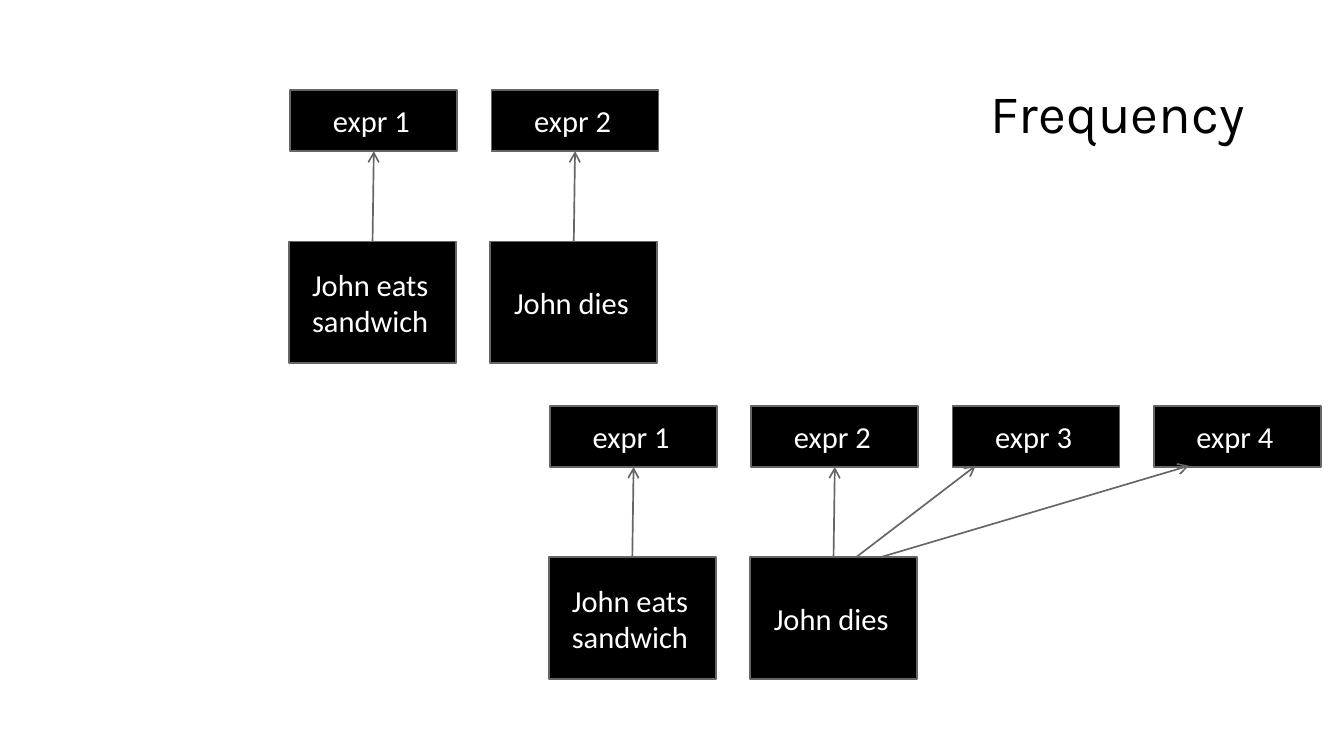
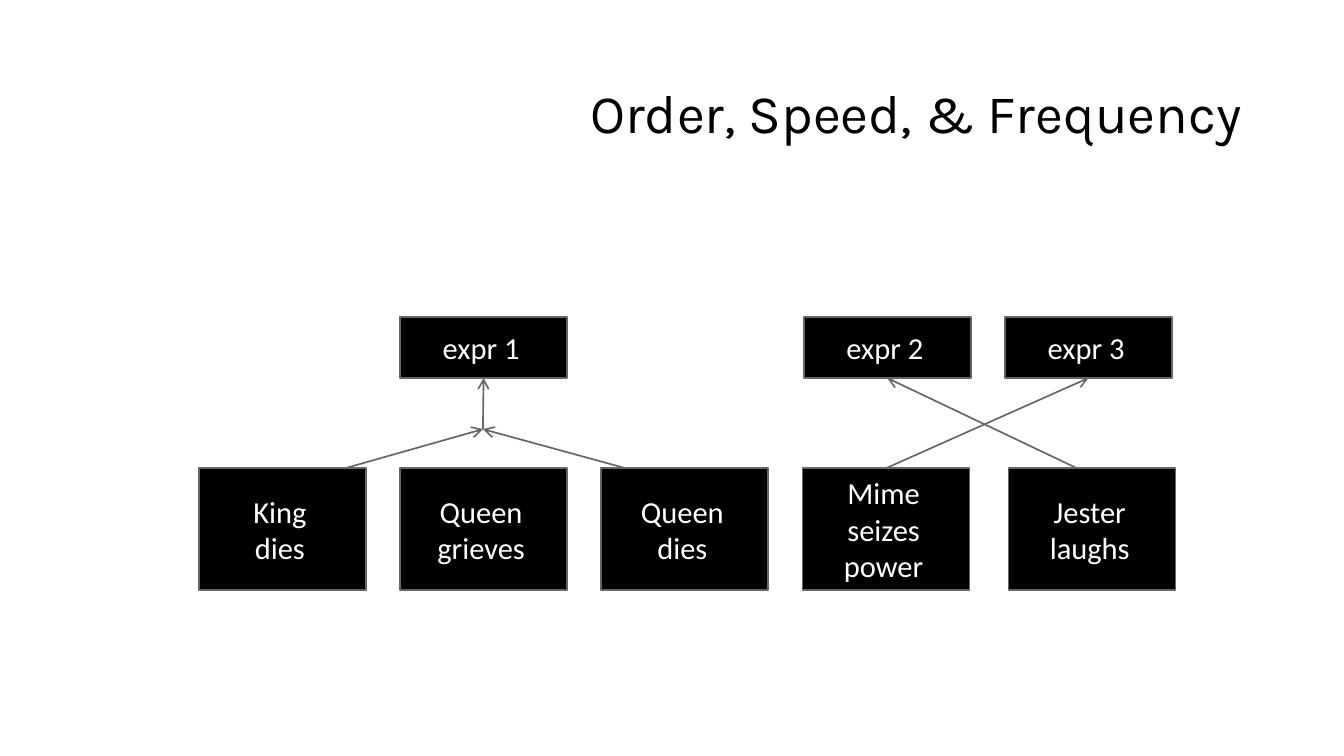
from dataclasses import dataclass

from lxml import etree
from pptx import Presentation
from pptx.dml.color import RGBColor
from pptx.enum.shapes import MSO_CONNECTOR, MSO_SHAPE
from pptx.enum.text import MSO_ANCHOR, PP_ALIGN
from pptx.oxml.ns import qn
from pptx.util import Inches, Pt

RECT = MSO_SHAPE.RECTANGLE
STRAIGHT = MSO_CONNECTOR.STRAIGHT
MIDDLE = MSO_ANCHOR.MIDDLE
CENTER = PP_ALIGN.CENTER
TOP, BOTTOM = 0, 2


@dataclass(frozen=True)
class Theme:
    ink: RGBColor = RGBColor(0x00, 0x00, 0x00)
    paper: RGBColor = RGBColor(0xFF, 0xFF, 0xFF)
    edge: RGBColor = RGBColor(0x66, 0x66, 0x66)
    label: tuple = ("Calibri", Pt(18))
    title: tuple = ("Karla", Pt(32))
    line: int = Pt(1)


THEME = Theme()
BOX_W, EXPR_H, EVENT_H = 1.37, 0.5, 1.0
PITCH = 1.65
TITLE_RIGHT = 10.43
BOX_PAD = (0.06, 0.06, 0.1, 0.06)
TITLE_PAD = (0, 0, 0, 0)


def assign(target, values):
    for name, value in values.items():
        setattr(target, name, value)


def write(shape, text, font, color, pad):
    frame = shape.text_frame
    frame.text = text
    sides = ("margin_left", "margin_top", "margin_right", "margin_bottom")
    assign(frame, dict(zip(sides, map(Inches, pad))))
    assign(frame, {"word_wrap": True, "vertical_anchor": MIDDLE})
    name, size = font
    for para in frame.paragraphs:
        para.alignment = CENTER
        assign(para.font, {"name": name, "size": size})
        para.font.color.rgb = color


def stroke(line):
    line.color.rgb = THEME.edge
    line.width = THEME.line


def add_title(slide, text, width):
    area = map(Inches, (TITLE_RIGHT - width, 0.37, width, 1.1))
    shape = slide.shapes.add_textbox(*area)
    write(shape, text, THEME.title, THEME.ink, TITLE_PAD)


def add_box(slide, text, left, top, height):
    area = map(Inches, (left, top, BOX_W, height))
    shape = slide.shapes.add_shape(RECT, *area)
    shape.shadow.inherit = False
    shape.fill.solid()
    shape.fill.fore_color.rgb = THEME.ink
    stroke(shape.line)
    write(shape, text, THEME.label, THEME.paper, BOX_PAD)
    return shape


def add_row(slide, texts, left, top, height):
    return [add_box(slide, text, left + i * PITCH, top, height)
            for i, text in enumerate(texts)]


def add_arrow(slide, start, end):
    points = [p if isinstance(p, tuple) else (0, 0) for p in (start, end)]
    coords = [Inches(v) for point in points for v in point]
    arrow = slide.shapes.add_connector(STRAIGHT, *coords)
    if not isinstance(start, tuple):
        arrow.begin_connect(start, TOP)
    if not isinstance(end, tuple):
        arrow.end_connect(end, BOTTOM)
    stroke(arrow.line)
    props = arrow.element.spPr
    etree.SubElement(props.find(qn("a:ln")), qn("a:tailEnd"), type="arrow")
    etree.SubElement(props, qn("a:effectLst"))


def add_story(slide, left, top, count):
    names = [f"expr {i + 1}" for i in range(count)]
    exprs = add_row(slide, names, left, top, EXPR_H)
    events = add_row(slide, ["John eats\nsandwich", "John dies"],
                     left - 0.01, top + 1.24, EVENT_H)
    for event, expr in zip(events, exprs):
        add_arrow(slide, event, expr)


def draw_frequency(slide):
    add_story(slide, 2.38, 0.74, 2)
    add_story(slide, 4.51, 3.33, 4)
    add_arrow(slide, (7.22, 4.57), (9.75, 3.82))
    add_arrow(slide, (7.02, 4.57), (8, 3.82))
    add_title(slide, "Frequency", 2.53)


def draw_order(slide):
    expr_top, event_top = 2.6, 3.84
    first = add_box(slide, "expr 1", 3.28, expr_top, EXPR_H)
    second, third = add_row(slide, ["expr 2", "expr 3"],
                            6.59, expr_top, EXPR_H)
    names = ["King\vdies", "Queen\vgrieves", "Queen\vdies",
             "Mime\nseizes\npower"]
    mime = add_row(slide, names, 1.63, event_top, EVENT_H)[-1]
    add_box(slide, "Jester\vlaughs", 8.27, event_top, EVENT_H)
    hub = (3.96, 3.52)
    for start, end in [((2.83, event_top), hub), ((5.13, event_top), hub),
                       (hub, first), ((8.83, event_top), second),
                       (mime, third)]:
        add_arrow(slide, start, end)
    add_title(slide, "Order, Speed, & Frequency", 5.83)


def main():
    deck = Presentation()
    assign(deck, {"slide_width": Inches(11.02), "slide_height": Inches(6.2)})
    for draw in (draw_frequency, draw_order):
        draw(deck.slides.add_slide(deck.slide_layouts[6]))
    deck.save("out.pptx")


if __name__ == "__main__":
    main()
